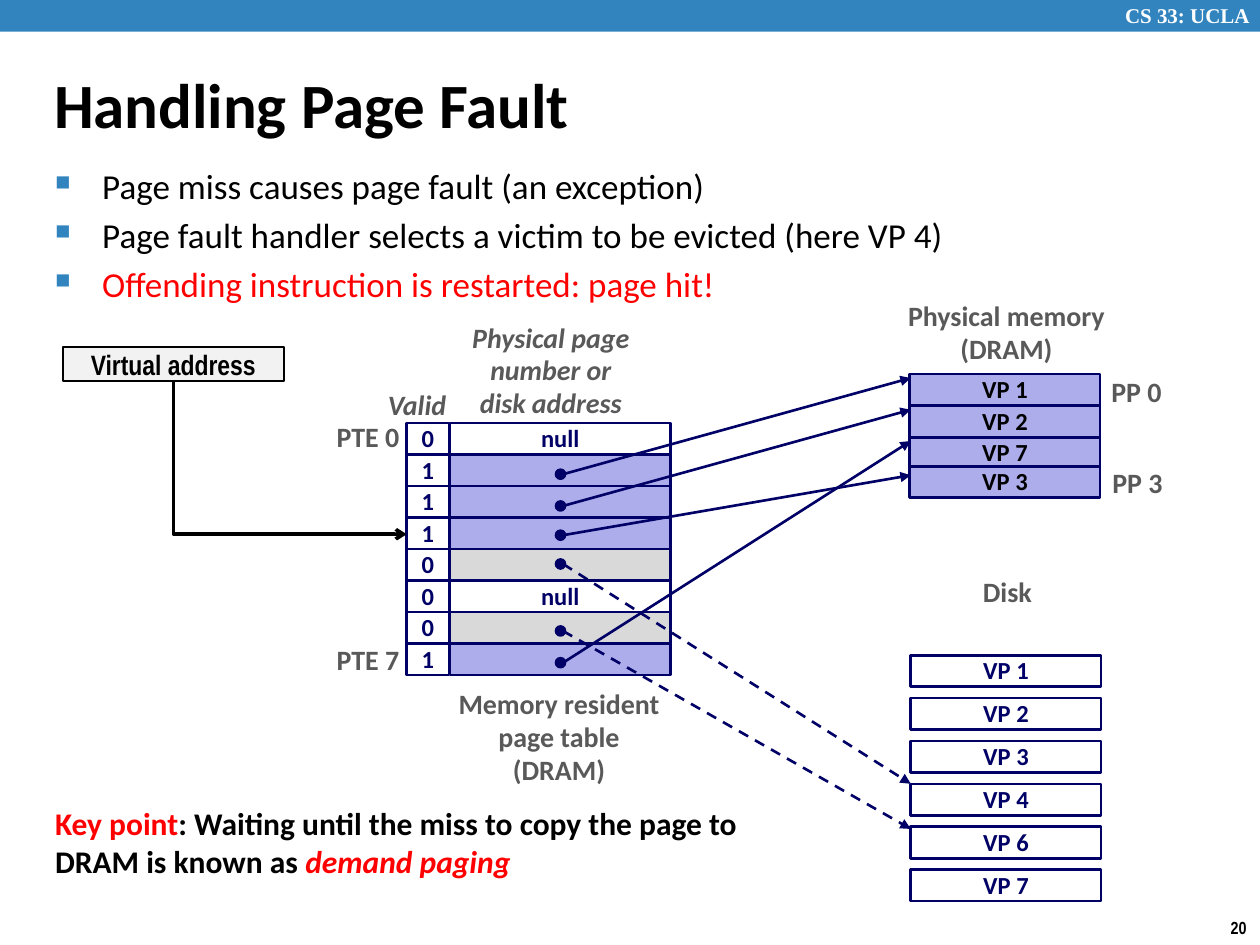
"""Build the "Handling Page Fault" slide with its page table diagram."""
from dataclasses import dataclass

from lxml.etree import SubElement
from pptx import Presentation
from pptx.dml.color import RGBColor
from pptx.enum.dml import MSO_LINE
from pptx.enum.shapes import MSO_CONNECTOR, MSO_SHAPE
from pptx.enum.text import MSO_ANCHOR, PP_ALIGN
from pptx.oxml.ns import qn
from pptx.util import Cm, Pt


@dataclass(frozen=True)
class Theme:
    blue: str = "3284BF"
    navy: str = "000066"
    lilac: str = "ADADEB"
    grey: str = "D9D9D9"
    pale: str = "F2F2F2"
    label: str = "595959"
    red: str = "FF0000"
    black: str = "000000"
    white: str = "FFFFFF"
    font: str = "Calibri"
    narrow: str = "Arial Narrow"
    serif: str = "Times New Roman"
    title_size: int = 36
    body_size: int = 20
    key_size: int = 18
    label_size: int = 16
    cell_size: int = 14
    header_size: int = 12
    number_size: int = 10


theme = Theme()
prs = Presentation()
prs.slide_width, prs.slide_height = Cm(25.4), Cm(19.05)
s = prs.slides.add_slide(prs.slide_layouts[6])


def box(x, y, w, h, text="", size=theme.label_size, color=theme.label, fill=None,
        line=theme.navy, line_width=1.5, kind=MSO_SHAPE.RECTANGLE, font=theme.font,
        align=PP_ALIGN.CENTER, bold=True, italic=False, spacing=0.98):
    """Add a filled shape, or a text box when there is no fill."""
    area = Cm(x), Cm(y), Cm(w), Cm(h)
    if fill is None:
        sp = s.shapes.add_textbox(*area)
    else:
        sp = s.shapes.add_shape(kind, *area)
        sp.shadow.inherit = False
        sp.fill.solid()
        sp.fill.fore_color.rgb = RGBColor.from_string(fill)
        if line:
            sp.line.color.rgb = RGBColor.from_string(line)
            sp.line.width = Pt(line_width)
        else:
            sp.line.fill.background()
    if text:
        tf = sp.text_frame
        tf.text = text
        tf.word_wrap = align == PP_ALIGN.LEFT
        tf.vertical_anchor = MSO_ANCHOR.MIDDLE
        for p in tf.paragraphs:
            p.alignment = align
            p.line_spacing = spacing
            for r in p.runs:
                r.font.name, r.font.size = font, Pt(size)
                r.font.bold, r.font.italic = bold, italic
                r.font.color.rgb = RGBColor.from_string(color)
    return sp


def arrow(kind, x1, y1, x2, y2, color=theme.navy, width=1.5, head="triangle"):
    """Add a connector with an arrowhead at its end."""
    c = s.shapes.add_connector(kind, Cm(x1), Cm(y1), Cm(x2), Cm(y2))
    c.line.color.rgb = RGBColor.from_string(color)
    c.line.width = Pt(width)
    SubElement(c.line._get_or_add_ln(), qn("a:tailEnd"), type=head)
    SubElement(c._element.spPr, qn("a:effectLst"))
    return c


box(0, 0, 25.4, 0.64, fill=theme.blue, line=None)
box(22.43, -0.08, 3.15, 0.76, "CS 33: UCLA", theme.header_size, theme.white,
    font=theme.serif, align=PP_ALIGN.LEFT, spacing=1.0)
box(24.54, 18.36, 0.86, 0.69, "20", theme.number_size, theme.black,
    font=theme.narrow, spacing=1.0)
box(0.84, 0.99, 23.01, 2.18, "Handling Page Fault", theme.title_size, theme.black,
    align=PP_ALIGN.LEFT, spacing=1.0)

bullets = [
    "Page miss causes page fault (an exception)",
    "Page fault handler selects a victim to be evicted (here VP 4)",
    "Offending instruction is restarted: page hit!",
]
body = box(0.86, 3.2, 23.09, 2.11, "\n".join(bullets), theme.body_size, theme.black,
           align=PP_ALIGN.LEFT, bold=False, spacing=1.0)
body.text_frame.vertical_anchor = MSO_ANCHOR.TOP
for i, p in enumerate(body.text_frame.paragraphs):
    p.space_before = Pt(4 if i else 0)
    pPr = p._p.get_or_add_pPr()
    pPr.set("marL", str(Cm(0.95)))
    pPr.set("indent", str(-Cm(0.95)))
    SubElement(SubElement(pPr, qn("a:buClr")), qn("a:srgbClr"), val=theme.blue)
    SubElement(pPr, qn("a:buSzPct"), val="60000")
    SubElement(pPr, qn("a:buChar"), char="■")
p.runs[0].font.color.rgb = RGBColor.from_string(theme.red)

row_height = 0.635
table_top = 8.53
page_table = [
    ("0", "null", theme.white), ("1", "", theme.lilac),
    ("1", "", theme.lilac), ("1", "", theme.lilac),
    ("0", "", theme.grey), ("0", "null", theme.white),
    ("0", "", theme.grey), ("1", "", theme.lilac),
]
for i, (valid, entry, fill) in enumerate(page_table):
    y = table_top + i * row_height
    box(8.2, y, 0.85, row_height, valid, theme.cell_size, theme.navy, theme.white)
    box(9.07, y, 4.45, row_height, entry, theme.cell_size, theme.navy, fill)

for name, y in [("VP 7", 8.81), ("VP 3", 9.4), ("VP 2", 8.18), ("VP 1", 7.54)]:
    box(18.34, y, 3.84, row_height, name, theme.cell_size, theme.black, theme.lilac)

for i, name in enumerate(["VP 1", "VP 2", "VP 3", "VP 4", "VP 6", "VP 7"]):
    box(18.36, 13.21 + i * 0.864, 3.84, row_height, name, theme.cell_size,
        theme.navy, theme.white)

dot = 0.2
pointers = [
    (9.56, 7.62, False), (10.2, 8.26, False), (10.79, 9.58, False),
    (11.37, 15.8, True), (12.72, 16.71, True), (13.36, 8.89, False),
]
for start, end, on_disk in pointers:
    c = arrow(MSO_CONNECTOR.STRAIGHT, 11.35, start, 18.36, end)
    if on_disk:
        c.line.dash_style = MSO_LINE.DASH
    box(11.3 - dot / 2, start - dot / 2, dot, dot, fill=theme.navy, line_width=1,
        kind=MSO_SHAPE.OVAL)

labels = [
    (8.92, 13.74, 4.7, 2.26, "Memory resident\npage table\n(DRAM)"),
    (18.03, 5.92, 4.52, 1.6, "Physical memory\n(DRAM)"),
    (22.15, 7.44, 1.52, 0.94, "PP 0"),
    (22.17, 9.27, 1.52, 0.94, "PP 3"),
    (6.53, 8.36, 1.78, 0.94, "PTE 0"),
    (6.53, 12.85, 1.78, 0.94, "PTE 7"),
    (19.56, 11.48, 1.5, 0.94, "Disk"),
]
for label in labels:
    box(*label)
box(7.57, 7.7, 1.9, 0.94, "Valid", align=PP_ALIGN.LEFT, italic=True)
box(9.25, 6.35, 3.71, 2.26, "Physical page\nnumber or\ndisk address", italic=True)

box(1.27, 6.99, 4.45, 0.69, "Virtual address", color=theme.black, fill=theme.pale,
    line=theme.black, line_width=1, font=theme.narrow, spacing=1.0)
elbow = arrow(MSO_CONNECTOR.ELBOW, 4.3, 6.87, 7.4, 11.57, theme.black, 2, "arrow")
spPr = elbow._element.spPr
spPr.find(qn("a:prstGeom")).set("prst", "bentConnector2")
spPr.find(qn("a:xfrm")).set("rot", "16200000")
spPr.find(qn("a:xfrm")).set("flipH", "1")

key_point = s.shapes.add_textbox(Cm(0.86), Cm(16.08), Cm(16.08), Cm(1.8))
key_point.text_frame.word_wrap = True
p = key_point.text_frame.paragraphs[0]
for text, color, italic in [
    ("Key point", theme.red, False),
    (": Waiting until the miss to copy the page to DRAM is known as ", theme.black, False),
    ("demand paging", theme.red, True),
]:
    r = p.add_run()
    r.text = text
    r.font.name, r.font.size = theme.font, Pt(theme.key_size)
    r.font.bold, r.font.italic = True, italic
    r.font.color.rgb = RGBColor.from_string(color)

prs.save("out.pptx")
